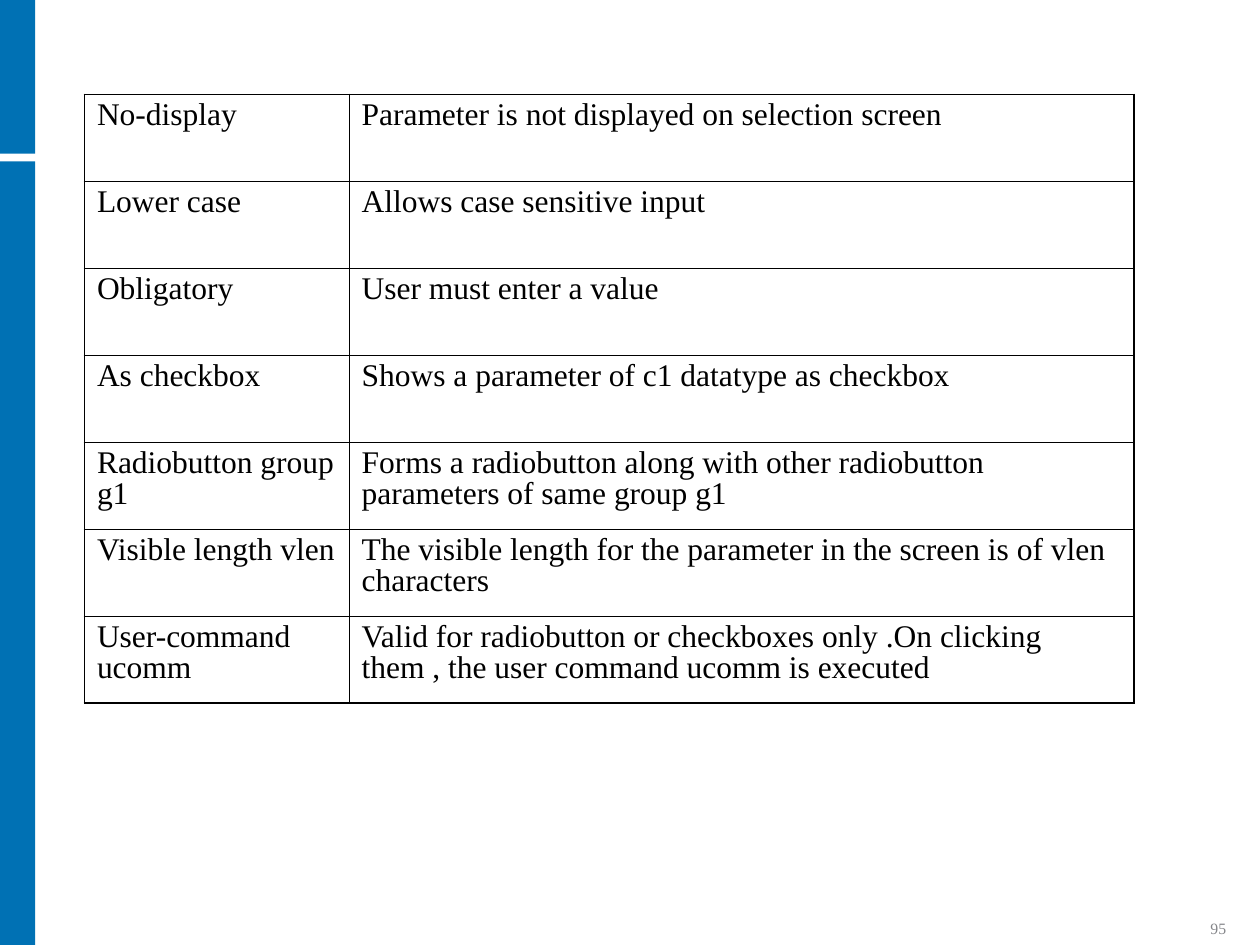
from lxml import etree
from pptx import Presentation
from pptx import util as u
from pptx.dml.color import RGBColor
from pptx.enum import shapes, text
from pptx.oxml import ns

BLUE = RGBColor(0x00, 0x71, 0xB4)
BLACK = RGBColor(0x00, 0x00, 0x00)
GREY = RGBColor(0x84, 0x85, 0x89)

OPTIONS = [
    ("No-display", "Parameter is not displayed on selection screen"),
    ("Lower case", "Allows case sensitive input"),
    ("Obligatory", "User must enter a value"),
    ("As checkbox", "Shows a parameter of c1 datatype as checkbox"),
    ("Radiobutton group g1",
     "Forms a radiobutton along with other radiobutton parameters of same group g1"),
    ("Visible length vlen",
     "The visible length for the parameter in the screen is of vlen characters"),
    ("User-command ucomm",
     "Valid for radiobutton or checkboxes only .On clicking them , "
     "the user command ucomm is executed"),
]


class SlideBuilder:
    font = "Times New Roman"
    outer_line = u.Pt(1.08)
    inner_line = u.Pt(0.45)

    def __init__(self, page):
        self.page = page

    def bar(self, top, height):
        bar = self.page.shapes.add_shape(
            shapes.MSO_SHAPE.RECTANGLE, 0, u.Inches(top), u.Inches(0.28), u.Inches(height))
        bar.shadow.inherit = False
        bar.fill.solid()
        bar.fill.fore_color.rgb = BLUE
        bar.line.fill.background()

    def add_span(self, para, words, size, color):
        span = para.add_run()
        span.text = words
        span.font.name = self.font
        span.font.size = u.Pt(size)
        span.font.color.rgb = color

    def border(self, cell, side, width):
        properties = cell._tc.get_or_add_tcPr()
        line = etree.SubElement(properties, ns.qn(f"a:ln{side}"), w=str(int(width)))
        fill = etree.SubElement(line, ns.qn("a:solidFill"))
        etree.SubElement(fill, ns.qn("a:srgbClr"), val=str(BLACK))

    def table(self, left, top, widths, row_height, rows):
        frame = self.page.shapes.add_table(
            len(rows), len(widths), u.Inches(left), u.Inches(top),
            u.Inches(sum(widths)), u.Inches(row_height * len(rows)))
        grid = frame.table
        grid.first_row = grid.horz_banding = False
        for column, width in zip(grid.columns, widths):
            column.width = u.Inches(width)
        last_row, last_column = len(rows) - 1, len(widths) - 1
        for r, row in enumerate(rows):
            grid.rows[r].height = u.Inches(row_height)
            for c, words in enumerate(row):
                cell = grid.cell(r, c)
                # Heavier lines on the outside edge
                edges = {"L": c == 0, "R": c == last_column,
                         "T": r == 0, "B": r == last_row}
                for side, outside in edges.items():
                    self.border(cell, side, self.outer_line if outside else self.inner_line)
                cell.fill.background()
                para = cell.text_frame.paragraphs[0]
                para.line_spacing = 0.9
                para.space_after = u.Pt(2.2)
                self.add_span(para, words, 18, BLACK)

    def page_number(self, number):
        box = self.page.shapes.add_textbox(
            u.Inches(9), u.Inches(7.25), u.Inches(0.83), u.Inches(0.24))
        box.text_frame.word_wrap = True
        box.text_frame.vertical_anchor = text.MSO_ANCHOR.BOTTOM
        para = box.text_frame.paragraphs[0]
        para.alignment = text.PP_ALIGN.RIGHT
        self.add_span(para, number, 9, GREY)


def main():
    deck = Presentation()
    deck.slide_width, deck.slide_height = u.Inches(10), u.Inches(7.5)
    builder = SlideBuilder(deck.slides.add_slide(deck.slide_layouts[6]))

    # Side bars
    builder.bar(1.28, 6.22)
    builder.bar(0, 1.22)

    # Parameter options
    builder.table(0.67, 0.75, (2.1, 6.23), 0.69, OPTIONS)

    # Footer
    builder.page_number("95")
    deck.save("out.pptx")


if __name__ == "__main__":
    main()
